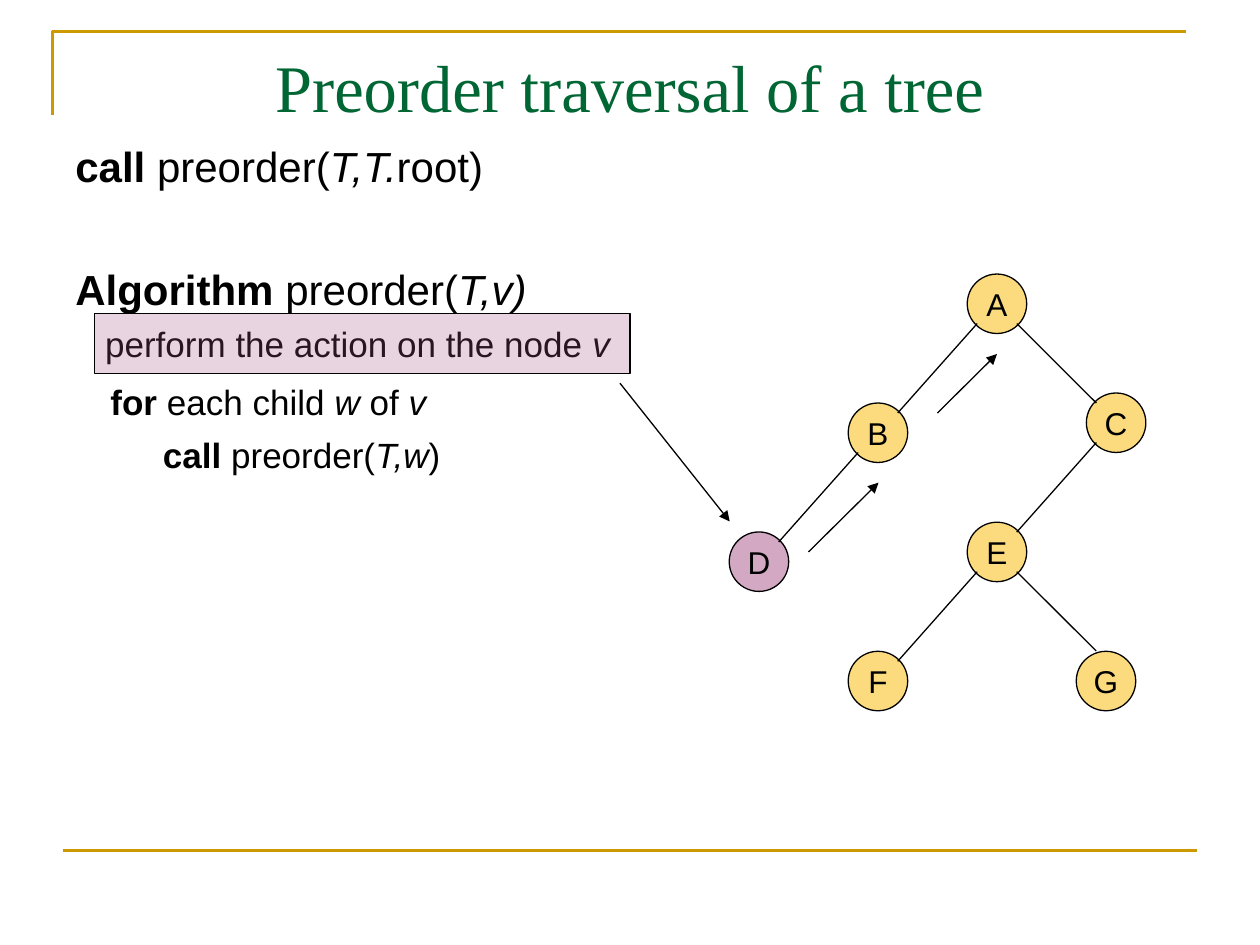
import pptx
import pptx.util
import pptx.dml.color
import pptx.enum.shapes
import pptx.enum.text
import pptx.oxml.ns
from lxml import etree

Pt = pptx.util.Pt
qn = pptx.oxml.ns.qn
ALIGN = pptx.enum.text.PP_ALIGN
ANCHOR = pptx.enum.text.MSO_ANCHOR

COLORS = {"rule": "CC9900", "title": "006633", "ink": "000000",
          "node": "FAB900", "active": "A75389"}

# Run formats
PLAIN = {"name": "Arial", "bold": False, "italic": False}
BOLD = {**PLAIN, "bold": True}
ITALIC = {**PLAIN, "italic": True}

# Code lines: size, space before, indent, runs
CODE = [
    (24, 0, 0, [("call ", BOLD), ("preorder(", PLAIN), ("T,T.", ITALIC),
                ("root)", PLAIN)]),
    (24, 41, 0, [("Algorithm ", BOLD), ("preorder(", PLAIN), ("T,v)", ITALIC)]),
    (20, 5, 17, [("perform the action on the node ", PLAIN), ("v", ITALIC)]),
    (20, 9.5, 20, [("for ", BOLD), ("each child ", PLAIN), ("w", ITALIC),
                   (" of ", PLAIN), ("v", ITALIC)]),
    (20, 6, 50, [("call ", BOLD), ("preorder(", PLAIN), ("T,w", ITALIC),
                 (")", PLAIN)]),
]

# Tree: node centres and edges
DIAMETER = 34
TOUCH = 11.3  # offset at which an edge meets a node
NODES = {"A": (569.7, 173.6), "B": (501.7, 247.3), "C": (637.8, 241.6),
         "D": (433.7, 321), "E": (569.7, 315.4), "F": (501.7, 389.2),
         "G": (632, 389.2)}
EDGES = ["AB", "BD", "CE", "EF", "AC", "EG"]
ENDS = {"EG": (626.4, 372)}  # this edge ends on top of its child
ARROWS = [((354.3, 219), (417, 298)), ((462, 315.4), (502, 275.8)),
          ((535.7, 236), (569.7, 202.3))]


def rgb(key):
    return pptx.dml.color.RGBColor.from_string(COLORS[key])


def set_line(sp, color, width):
    sp.line.color.rgb = rgb(color)
    sp.line.width = Pt(width)


def add_run(p, text, size, color, fmt):
    r = p.add_run()
    r.text = text
    r.font.size = Pt(size)
    r.font.color.rgb = rgb(color)
    for key, value in fmt.items():
        setattr(r.font, key, value)


def add_text(s, box, anchor):
    tf = s.shapes.add_textbox(*map(Pt, box)).text_frame
    tf.word_wrap = True
    tf.vertical_anchor = anchor
    return tf


def add_line(s, start, end, color="ink", width=0.75, arrow=False):
    sp = s.shapes.add_connector(pptx.enum.shapes.MSO_CONNECTOR.STRAIGHT,
                                *map(Pt, (*start, *end)))
    set_line(sp, color, width)
    if arrow:
        ln = sp.line._get_or_add_ln()
        etree.SubElement(ln, qn("a:tailEnd"), type="triangle")
    etree.SubElement(sp._element.spPr, qn("a:effectLst"))


def add_shape(s, kind, box, fill, alpha):
    sp = s.shapes.add_shape(kind, *map(Pt, box))
    sp.shadow.inherit = False
    sp.fill.solid()
    sp.fill.fore_color.rgb = rgb(fill)
    clr = sp._element.spPr.find(qn("a:solidFill"))[0]
    etree.SubElement(clr, qn("a:alpha"), val=str(alpha * 1000))
    set_line(sp, "ink", 0.75)
    return sp


def add_node(s, label, x, y):
    box = (x - DIAMETER / 2, y - DIAMETER / 2, DIAMETER, DIAMETER)
    fill = "active" if label == "D" else "node"
    sp = add_shape(s, pptx.enum.shapes.MSO_SHAPE.OVAL, box, fill, 50)
    tf = sp.text_frame
    tf.word_wrap = False
    tf.vertical_anchor = ANCHOR.MIDDLE
    p = tf.paragraphs[0]
    p.alignment = ALIGN.CENTER
    add_run(p, label, 18, "ink", PLAIN)


def add_edge(s, edge):
    (x1, y1), (x2, y2) = (NODES[label] for label in edge)
    dx = TOUCH if x2 > x1 else -TOUCH
    end = ENDS.get(edge, (x2 - dx, y2 - TOUCH))
    add_line(s, (x1 + dx, y1 + TOUCH), end)


def add_frame(s):
    fb = s.shapes.build_freeform(Pt(30), Pt(66))
    fb.add_line_segments([(Pt(30), Pt(18)), (Pt(678), Pt(18))], close=False)
    sp = fb.convert_to_shape()
    sp.shadow.inherit = False
    sp.fill.background()
    set_line(sp, "rule", 1.5)
    add_line(s, (36, 486), (684, 486), "rule", 1.5)


def add_title(s):
    p = add_text(s, (36, 21.6, 648, 55.4), ANCHOR.MIDDLE).paragraphs[0]
    p.alignment = ALIGN.CENTER
    add_run(p, "Preorder traversal of a tree", 38, "title",
            {"name": "Times New Roman"})


def add_code(s):
    tf = add_text(s, (36, 77, 346, 405), ANCHOR.TOP)
    for i, (size, before, indent, runs) in enumerate(CODE):
        p = tf.add_paragraph() if i else tf.paragraphs[0]
        p.space_before = Pt(before)
        p._p.get_or_add_pPr().set("marL", str(Pt(indent)))
        for text, fmt in runs:
            add_run(p, text, size, "ink", fmt)


def main():
    prs = pptx.Presentation()
    prs.slide_width, prs.slide_height = Pt(720), Pt(540)
    s = prs.slides.add_slide(prs.slide_layouts[6])

    # Frame and text
    add_frame(s)
    add_title(s)
    add_code(s)

    # Tree
    for label, (x, y) in NODES.items():
        add_node(s, label, x, y)
    for edge in EDGES:
        add_edge(s, edge)

    # Highlighted step and traversal arrows
    add_shape(s, pptx.enum.shapes.MSO_SHAPE.RECTANGLE,
              (54, 179.3, 306, 34), "active", 25)
    for start, end in ARROWS:
        add_line(s, start, end, arrow=True)

    prs.save("out.pptx")


if __name__ == "__main__":
    main()
